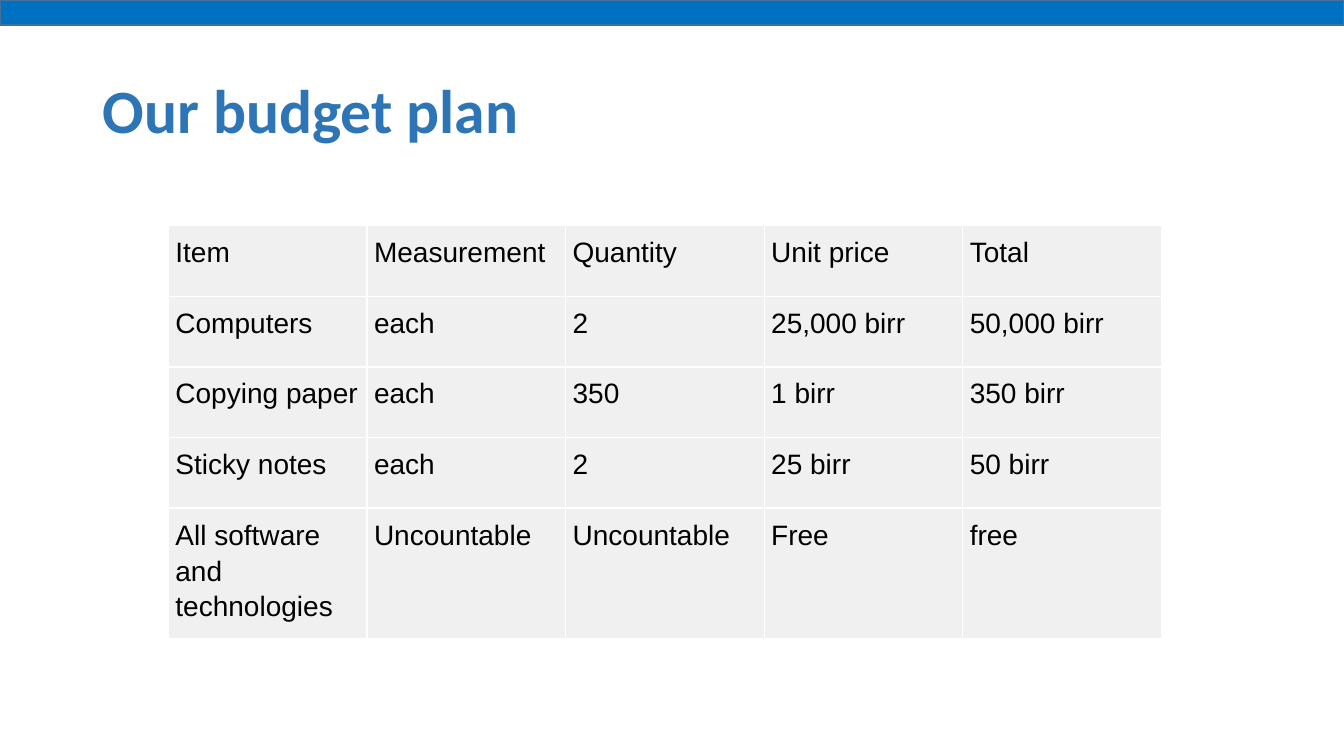
"""Build the budget plan slide with its cost table."""
import pptx
import pptx.dml.color
import pptx.enum.shapes
import pptx.enum.text
import pptx.oxml
import pptx.oxml.ns
import pptx.util

Inches = pptx.util.Inches
Pt = pptx.util.Pt
RGBColor = pptx.dml.color.RGBColor

TITLE = "Our budget plan"
BUDGET = [
    ("Item", "Measurement", "Quantity", "Unit price", "Total"),
    ("Computers", "each", "2", "25,000 birr", "50,000 birr"),
    ("Copying paper", "each", "350", "1 birr", "350 birr"),
    ("Sticky notes", "each", "2", "25 birr", "50 birr"),
    ("All software and technologies", "Uncountable", "Uncountable", "Free", "free"),
]
ROW_HEIGHTS = [0.7, 0.7, 0.7, 0.7, 1.2]
COLUMN_WIDTH = 1.97
PAGE_WIDTH, PAGE_HEIGHT = 13.33, 7.5

TITLE_BLUE = RGBColor(0x2E, 0x75, 0xB5)
BAND_BLUE = RGBColor(0x00, 0x70, 0xC0)
BAND_EDGE = RGBColor(0x42, 0x71, 0x9B)
CELL_GRAY = RGBColor(0xF0, 0xF0, 0xF0)
BORDER_WHITE = RGBColor(0xFF, 0xFF, 0xFF)
BLACK = RGBColor(0x00, 0x00, 0x00)


def write(frame, text, *, font, size, color, spacing, bold=False):
    """Put one formatted paragraph in a text frame."""
    frame.word_wrap = True
    para = frame.paragraphs[0]
    para.line_spacing = spacing
    span = para.add_run()
    span.text = text
    span.font.name = font
    span.font.size = Pt(size)
    span.font.bold = bold
    span.font.color.rgb = color


def outline_cell(cell, color):
    """Draw a one-point border on all four sides of a cell."""
    properties = cell._tc.get_or_add_tcPr()
    for position, side in enumerate(("lnL", "lnR", "lnT", "lnB")):
        border = pptx.oxml.parse_xml(
            f'<a:{side} {pptx.oxml.ns.nsdecls("a")} w="{Pt(1)}">'
            f'<a:solidFill><a:srgbClr val="{color}"/></a:solidFill></a:{side}>'
        )
        properties.insert(position, border)


def add_title(page):
    """Add the slide heading."""
    box = page.shapes.add_textbox(Inches(0.92), Inches(0.4), Inches(11.5), Inches(1.45))
    box.text_frame.vertical_anchor = pptx.enum.text.MSO_ANCHOR.MIDDLE
    write(box.text_frame, TITLE, font="Calibri", size=44, color=TITLE_BLUE,
          spacing=0.9, bold=True)


def add_budget(page):
    """Add the budget table."""
    columns = len(BUDGET[0])
    table = page.shapes.add_table(
        len(BUDGET), columns, Inches(1.67), Inches(2.24),
        Inches(COLUMN_WIDTH * columns), Inches(sum(ROW_HEIGHTS)),
    ).table
    table.first_row = False
    table.horz_banding = False
    for column in table.columns:
        column.width = Inches(COLUMN_WIDTH)
    for row, height, texts in zip(table.rows, ROW_HEIGHTS, BUDGET):
        row.height = Inches(height)
        for cell, text in zip(row.cells, texts):
            cell.margin_left = cell.margin_right = Inches(0.07)
            cell.margin_top = cell.margin_bottom = Inches(0.07)
            cell.fill.solid()
            cell.fill.fore_color.rgb = CELL_GRAY
            outline_cell(cell, BORDER_WHITE)
            write(cell.text_frame, text, font="Arial", size=20, color=BLACK, spacing=1.15)


def add_band(page):
    """Add the blue band along the top edge."""
    band = page.shapes.add_shape(
        pptx.enum.shapes.MSO_SHAPE.RECTANGLE, 0, 0, Inches(PAGE_WIDTH), Inches(0.25))
    band.shadow.inherit = False
    band.fill.solid()
    band.fill.fore_color.rgb = BAND_BLUE
    band.line.color.rgb = BAND_EDGE
    band.line.width = Pt(1)


def main():
    """Build and save the deck."""
    deck = pptx.Presentation()
    deck.slide_width = Inches(PAGE_WIDTH)
    deck.slide_height = Inches(PAGE_HEIGHT)
    page = deck.slides.add_slide(deck.slide_layouts[6])
    add_title(page)
    add_budget(page)
    add_band(page)
    deck.save("out.pptx")


if __name__ == "__main__":
    main()
